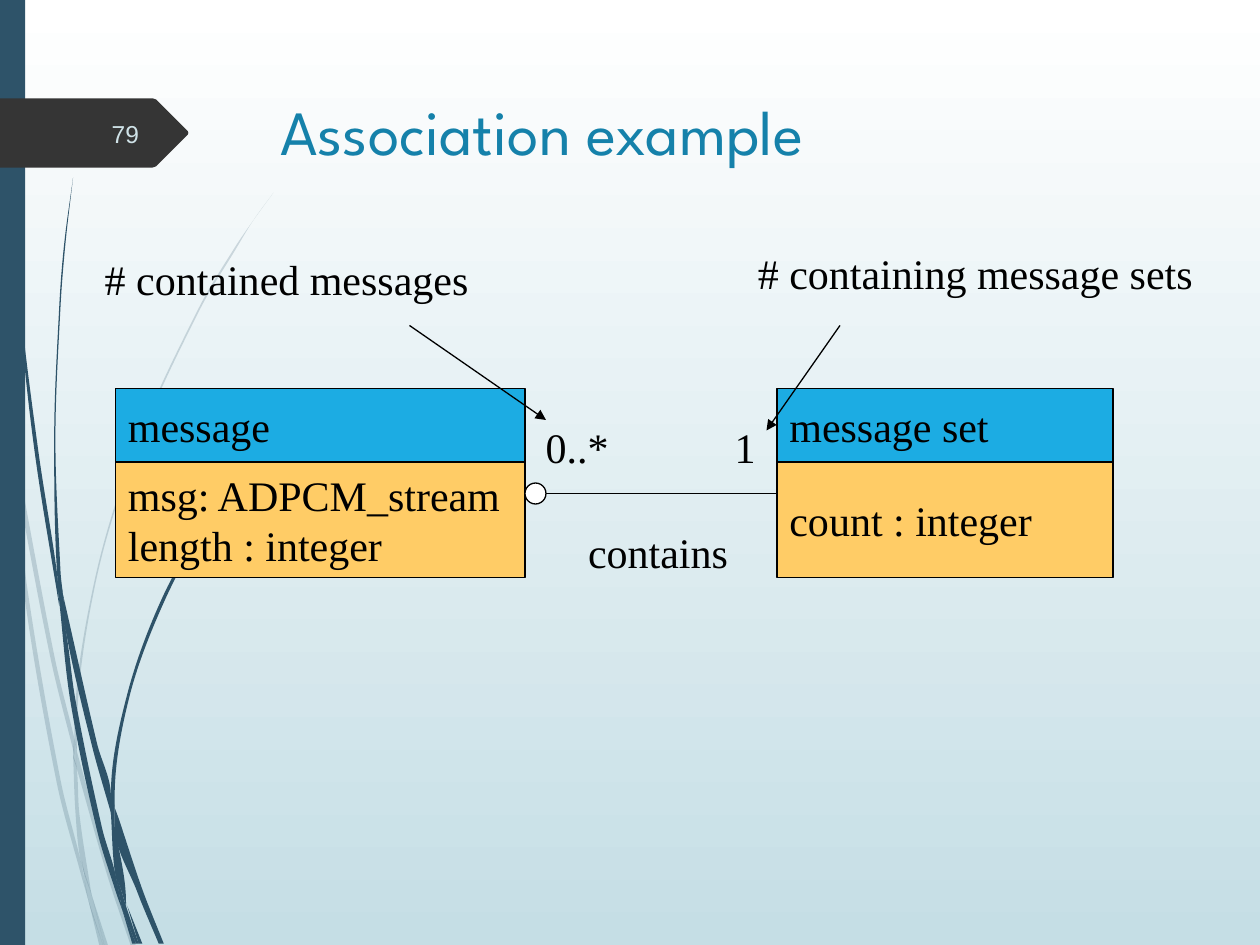
from lxml.etree import Element, SubElement
from pptx import Presentation
from pptx.dml.color import RGBColor
from pptx.enum.shapes import MSO_CONNECTOR as LINK, MSO_SHAPE as SHAPE
from pptx.enum.text import MSO_ANCHOR as ANCHOR, PP_ALIGN as ALIGN
from pptx.oxml.ns import qn
from pptx.util import Pt

BLACK = RGBColor(0, 0, 0)
WHITE = RGBColor(255, 255, 255)
MIST = RGBColor(0xC5, 0xDE, 0xE5)
SLATE = RGBColor(0x2E, 0x53, 0x69)
CHARCOAL = RGBColor(0x35, 0x35, 0x35)
PALE = RGBColor(0xCF, 0xE2, 0xE7)
TEAL = RGBColor(0x15, 0x81, 0xAA)
BLUE = RGBColor(0x1C, 0xAC, 0xE3)
AMBER = RGBColor(0xFF, 0xCC, 0x66)
SERIF = "Times New Roman"

CLASSES = [
    (66, 234, "message", ["msg: ADPCM_stream", "length : integer"]),
    (444, 192, "message set", ["count : integer"]),
]
CLASS_TOP, HEAD_HEIGHT, BODY_HEIGHT = 222, 42, 66
LABELS = [
    ("0..*", 304.75, 237.5, 50.5),
    ("1", 412.75, 237.5, 26),
    ("contains", 329, 297.5, 94.5),
    ("# contained messages", 52.75, 141.5, 222.5),
    ("# containing message sets", 426, 138, 263),
]
ARROWS = [(234, 186, 312, 240), (480, 186, 438, 246)]
LINK_Y, RING = 282, 12

FAINT_WISPS = [
    ([(0, 299), (7, 344), (8, 350)], [(0, 282), (6, 322), (8, 350)]),
    ([(12, 376), (40, 522), (59, 599)], [(10, 345), (43, 520), (59, 586)]),
    ([(61, 610), (85, 694), (104, 751)], [(61, 596), (64, 607), (88, 692), (108, 751)]),
    ([(73, 711), (83, 751)], [(73, 711), (86, 751)]),
    ([(8, 350), (19, 470), (45, 621), (64, 693), (70, 714)],
     [(8, 350), (12, 376), (22, 469), (48, 619), (64, 683), (70, 714)]),
    ([(58, 599), (60, 646), (64, 683), (73, 711)],
     [(58, 599), (61, 610), (63, 646), (72, 706), (73, 711)]),
    ([(217, 153), (201, 175), (186, 197), (158, 244), (110, 348), (75, 461), (59, 584), (61, 596)],
     [(217, 153), (201, 175), (187, 198), (159, 245), (111, 349), (76, 462), (61, 584), (61, 596)]),
    ([(70, 714), (79, 751)], [(70, 714), (82, 751)]),
    ([(59, 586), (58, 599), (61, 610)], [(59, 586), (61, 596), (61, 610)]),
    ([(65, 683), (70, 714), (82, 751)], [(65, 683), (67, 692), (73, 711), (83, 751)]),
]
DARK_WISPS = [
    ([(2, 0), (3, 48), (5, 110), (14, 233), (27, 355), (47, 481)],
     [(3, 0), (4, 48), (6, 109), (15, 232), (30, 355), (45, 453), (47, 481)]),
    ([(50, 472), (53, 505), (73, 592), (88, 645)], [(50, 472), (77, 590), (88, 631), (88, 645)]),
    ([(91, 641), (91, 656), (109, 708), (126, 749)], [(91, 641), (94, 649), (113, 706), (130, 749)]),
    ([(47, 477), (56, 557), (77, 659), (92, 708), (97, 722)],
     [(47, 477), (53, 505), (60, 556), (81, 657), (91, 691), (97, 722)]),
    ([(58, 141), (51, 193), (47, 244), (43, 349), (45, 449), (50, 472)],
     [(58, 141), (52, 193), (48, 244), (44, 349), (48, 453), (50, 472)]),
    ([(101, 719), (110, 749)], [(101, 719), (113, 749)]),
    ([(45, 449), (47, 477), (53, 505)], [(45, 449), (50, 472), (53, 505)]),
    ([(215, 344), (203, 358), (191, 373), (168, 405), (129, 474), (101, 551), (88, 631), (91, 641)],
     [(216, 344), (203, 359), (191, 374), (169, 406), (131, 476), (103, 552), (91, 633), (91, 641)]),
    ([(97, 722), (105, 749)], [(97, 722), (108, 749)]),
    ([(88, 645), (91, 691), (96, 706), (100, 719)], [(88, 645), (91, 656), (100, 716), (100, 719)]),
    ([(88, 631), (88, 645), (91, 656)], [(88, 631), (91, 641), (91, 656)]),
    ([(91, 691), (96, 717), (97, 722), (108, 749)], [(91, 691), (96, 706), (100, 719), (110, 749)]),
]
NUMBER_TAG = [(0, 78), (121, 78), (124, 79), (149, 104), (149.5, 105.5),
              (149, 107), (124, 132), (121, 133), (0, 133)]


def slope(start, end):
    return (end[0] - start[0]) / (end[1] - start[1])


def curve(edge):
    chords = [slope(start, end) for start, end in zip(edge, edge[1:])]
    slopes = [chords[0]]
    for i in range(1, len(chords)):
        turns_back = chords[i - 1] * chords[i] <= 0
        slopes.append(0 if turns_back else slope(edge[i - 1], edge[i + 1]))
    slopes.append(chords[-1])
    points = [edge[0]]
    for i, ((x0, y0), (x1, y1)) in enumerate(zip(edge, edge[1:])):
        third = (y1 - y0) / 3
        points += [(x0 + slopes[i] * third, y0 + third),
                   (x1 - slopes[i + 1] * third, y1 - third), (x1, y1)]
    return points


def paint(shape, color, outline=None):
    shape.shadow.inherit = False
    shape.fill.solid()
    shape.fill.fore_color.rgb = color
    if outline is None:
        shape.line.fill.background()
    else:
        shape.line.color.rgb = outline
        shape.line.width = Pt(0.75)


def add_outline(page, points, color):
    units = [(x * 72, y * 72) for x, y in points]
    builder = page.shapes.build_freeform(*units[0], scale=Pt(0.01))
    builder.add_line_segments(units[1:], close=True)
    shape = builder.convert_to_shape()
    paint(shape, color)
    return shape


def add_wisp(page, left_edge, right_edge, alpha):
    left, right = curve(left_edge), curve(right_edge)[::-1]
    shape = add_outline(page, left + right, SLATE)
    segments = list(shape.element.iter(qn("a:lnTo")))
    for side in (segments[:len(left) - 1], segments[len(left):]):
        for i in range(0, len(side), 3):
            bezier = Element(qn("a:cubicBezTo"))
            side[i].addprevious(bezier)
            for segment in side[i:i + 3]:
                bezier.append(segment[0])
                segment.getparent().remove(segment)
    if alpha is not None:
        tint = shape.element.spPr.find(qn("a:solidFill"))[0]
        SubElement(tint, qn("a:alpha")).set("val", str(alpha * 1000))


def add_block(page, kind, left, top, width, height, color, outline=None):
    shape = page.shapes.add_shape(kind, Pt(left), Pt(top), Pt(width), Pt(height))
    paint(shape, color, outline)
    return shape


def write(box, lines, size=24, font=SERIF, color=BLACK, align=ALIGN.LEFT, anchor=ANCHOR.MIDDLE, wrap=True):
    frame = box.text_frame
    frame.word_wrap = wrap
    frame.vertical_anchor = anchor
    frame.text = "\n".join(lines)
    for para in frame.paragraphs:
        para.alignment = align
        para.font.size = Pt(size)
        para.font.name = font
        para.font.color.rgb = color


def add_line(page, start_x, start_y, end_x, end_y, arrow=False):
    line = page.shapes.add_connector(LINK.STRAIGHT, Pt(start_x), Pt(start_y), Pt(end_x), Pt(end_y))
    line.line.color.rgb = BLACK
    line.line.width = Pt(0.75)
    properties = line.element.spPr
    if arrow:
        SubElement(properties.find(qn("a:ln")), qn("a:tailEnd")).set("type", "triangle")
    SubElement(properties, qn("a:effectLst"))


def main():
    deck = Presentation()
    deck.slide_width, deck.slide_height = Pt(720), Pt(540)
    page = deck.slides.add_slide(deck.slide_layouts[5])
    backdrop = page.background.fill
    backdrop.gradient()
    backdrop.gradient_angle = 270
    for stop, color in zip(backdrop.gradient_stops, (WHITE, MIST)):
        stop.color.rgb = color

    for wisps, alpha in ((FAINT_WISPS, 20), (DARK_WISPS, None)):
        for left_edge, right_edge in wisps:
            add_wisp(page, left_edge, right_edge, alpha)
    add_block(page, SHAPE.RECTANGLE, 0, 0, 14.4, 540, SLATE)
    add_outline(page, NUMBER_TAG, CHARCOAL)

    title = page.shapes.title
    title.left, title.top, title.width, title.height = Pt(153), Pt(49), Pt(519), Pt(101)
    write(title, ["Association example"], 36, "League Spartan", TEAL, anchor=ANCHOR.TOP)
    number = page.shapes.add_textbox(Pt(40.5), Pt(62), Pt(46), Pt(29))
    write(number, ["79"], 14, "Arial", PALE, ALIGN.RIGHT)

    for left, width, name, fields in CLASSES:
        head = add_block(page, SHAPE.RECTANGLE, left, CLASS_TOP, width, HEAD_HEIGHT, BLUE, BLACK)
        write(head, [name])
        body = add_block(page, SHAPE.RECTANGLE, left, CLASS_TOP + HEAD_HEIGHT, width, BODY_HEIGHT, AMBER, BLACK)
        write(body, fields)

    link_start = CLASSES[0][0] + CLASSES[0][1]
    add_line(page, link_start, LINK_Y, CLASSES[1][0], LINK_Y)
    add_block(page, SHAPE.OVAL, link_start, LINK_Y - RING / 2, RING, RING, WHITE, BLACK)
    for arrow in ARROWS:
        add_line(page, *arrow, arrow=True)
    for text, left, top, width in LABELS:
        label = page.shapes.add_textbox(Pt(left), Pt(top), Pt(width), Pt(36))
        write(label, [text], anchor=ANCHOR.TOP, wrap=False)

    deck.save("out.pptx")


if __name__ == "__main__":
    main()
